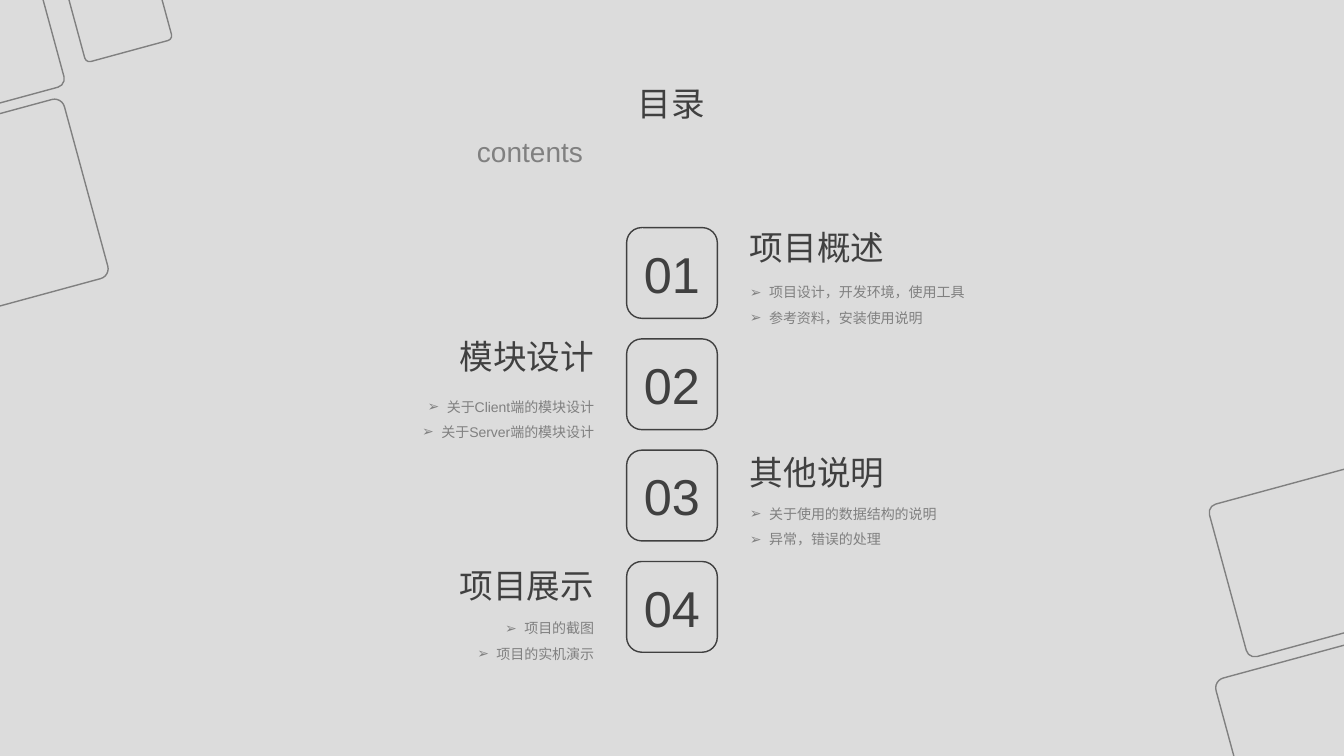
from dataclasses import dataclass

import lxml.etree
import pptx
import pptx.dml.color
import pptx.enum.shapes
import pptx.enum.text
import pptx.oxml.ns
import pptx.util

INK = {"back": "DCDCDC", "dark": "404040", "gray": "808080"}
FONT = "Arial"
COLS, ROWS = 160, 90
WIDTH, HEIGHT = pptx.util.Inches(13.33), pptx.util.Inches(7.5)
TILT = 344.8
CURVE = 0.055
HANG = pptx.util.Inches(0.19)
BOX = 10.8
TOP, STEP = 27.1, 13.25
EDGE = 88.1
HEAD_COLS, HEAD_ROWS = 31, 7

ALIGN = pptx.enum.text.PP_ALIGN
ANCHOR = pptx.enum.text.MSO_ANCHOR


@dataclass(frozen=True)
class Area:
    col: float
    row: float
    cols: float
    rows: float

    def place(self) -> tuple[int, int, int, int]:
        return (
            round(self.col / COLS * WIDTH),
            round(self.row / ROWS * HEIGHT),
            round(self.cols / COLS * WIDTH),
            round(self.rows / ROWS * HEIGHT),
        )


@dataclass(frozen=True)
class Topic:
    head: str
    head_row: float
    points: tuple[str, ...]
    list_row: float
    list_cols: float
    list_rows: float


TILES = [
    Area(-16, -5.5, 21.8, 18.8),
    Area(-14.9, 14.5, 25.6, 22.1),
    Area(7.6, -12.4, 10.7, 18.8),
    Area(145.8, 57.1, 21.8, 18.8),
    Area(146.9, 77.3, 25.6, 22.1),
]

TOPICS = [
    Topic("项目概述", 25.9, ("项目设计，开发环境，使用工具", "参考资料，安装使用说明"), 32.2, 51, 6.8),
    Topic("模块设计", 38.9, ("关于Client端的模块设计", "关于Server端的模块设计"), 45.8, 53.9, 7.3),
    Topic("其他说明", 52.7, ("关于使用的数据结构的说明", "异常，错误的处理"), 58.6, 55, 7.3),
    Topic("项目展示", 66.1, ("项目的截图", "项目的实机演示"), 72.2, 51.4, 6.8),
]


def tint(name: str) -> pptx.dml.color.RGBColor:
    return pptx.dml.color.RGBColor.from_string(INK[name])


def write(para, text: str, size: float, ink: str, align) -> None:
    para.alignment = align
    run = para.add_run()
    run.text = text
    run.font.name = FONT
    run.font.size = pptx.util.Pt(size)
    run.font.color.rgb = tint(ink)


def mark(para) -> None:
    props = para._p.get_or_add_pPr()
    props.set("marL", str(HANG))
    props.set("indent", str(-HANG))
    for tag, key, value in (("a:buFont", "typeface", FONT), ("a:buChar", "char", "➢")):
        lxml.etree.SubElement(props, pptx.oxml.ns.qn(tag)).set(key, value)


def frame(slide, area: Area, ink: str):
    shape = slide.shapes.add_shape(
        pptx.enum.shapes.MSO_SHAPE.ROUNDED_RECTANGLE, *area.place()
    )
    shape.shadow.inherit = False
    shape.fill.background()
    shape.line.color.rgb = tint(ink)
    shape.line.width = pptx.util.Pt(1)
    return shape


def label(slide, area: Area, text: str, align) -> None:
    body = slide.shapes.add_textbox(*area.place()).text_frame
    body.word_wrap = True
    body.vertical_anchor = ANCHOR.MIDDLE
    write(body.paragraphs[0], text, 24, "dark", align)


def block(slide, area: Area, lines: tuple[str, ...], size: float, align, listed: bool) -> None:
    body = slide.shapes.add_textbox(*area.place()).text_frame
    body.word_wrap = True
    body.auto_size = pptx.enum.text.MSO_AUTO_SIZE.SHAPE_TO_FIT_TEXT
    for order, line in enumerate(lines):
        para = body.add_paragraph() if order else body.paragraphs[0]
        para.line_spacing = 1.5
        if listed:
            mark(para)
        write(para, line, size, "gray", align)


def entry(slide, order: int, topic: Topic) -> None:
    box = frame(slide, Area((COLS - BOX) / 2, TOP + order * STEP, BOX, BOX), "dark")
    body = box.text_frame
    body.vertical_anchor = ANCHOR.MIDDLE
    write(body.paragraphs[0], f"{order + 1:02}", 36, "dark", ALIGN.CENTER)

    left = order % 2 == 1
    align = ALIGN.RIGHT if left else ALIGN.LEFT

    def side(cols: float) -> float:
        return COLS - EDGE - cols if left else EDGE

    head = Area(side(HEAD_COLS), topic.head_row, HEAD_COLS, HEAD_ROWS)
    label(slide, head, topic.head, align)
    area = Area(side(topic.list_cols), topic.list_row, topic.list_cols, topic.list_rows)
    block(slide, area, topic.points, 10, align, True)


def main() -> None:
    deck = pptx.Presentation()
    deck.slide_width, deck.slide_height = WIDTH, HEIGHT
    slide = deck.slides.add_slide(deck.slide_layouts[6])
    slide.background.fill.solid()
    slide.background.fill.fore_color.rgb = tint("back")

    for area in TILES:
        tile = frame(slide, area, "gray")
        tile.adjustments[0] = CURVE
        tile.rotation = TILT

    label(slide, Area(63.7, 8, 32.5, 8.6), "目录", ALIGN.CENTER)
    block(slide, Area(55.6, 13.4, 48.8, 6.5), ("contents",), 20, ALIGN.JUSTIFY, False)

    for order, topic in enumerate(TOPICS):
        entry(slide, order, topic)

    deck.save("out.pptx")


if __name__ == "__main__":
    main()
